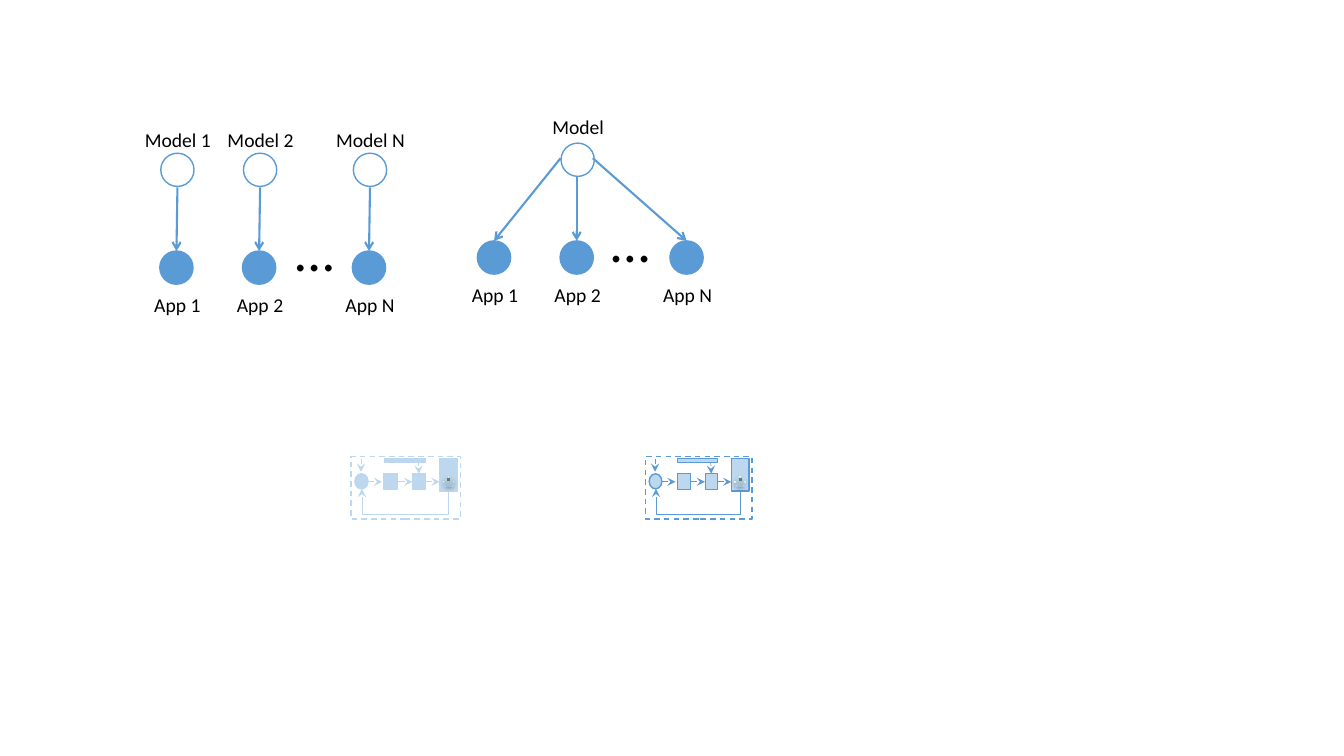
import copy
from dataclasses import dataclass

import pptx
import pptx.dml.color
import pptx.enum.dml
import pptx.enum.shapes
import pptx.enum.text
import pptx.oxml
import pptx.oxml.ns
import pptx.util

Inches = pptx.util.Inches
SHAPE = pptx.enum.shapes.MSO_SHAPE
CONNECTOR = pptx.enum.shapes.MSO_CONNECTOR


@dataclass(frozen=True)
class Theme:
    blue: str = "5B9BD5"
    pale: str = "BDD7EE"
    white: str = "FFFFFF"
    black: str = "000000"
    bulb: tuple = ((0, "87ABAE"), (0.8, "AFDEE2"), (1, "AFE0E4"))
    font: str = "Calibri"
    label_size: int = 14
    dots_size: int = 40


THEME = Theme()

# Content: app columns, then the two ways of serving them
APPS = [("App 1", 0), ("App 2", 0.82), ("App N", 1.91)]  # name, centre offset
SERVINGS = [
    {  # one model for each app
        "origin": (1.75, 2.49),
        "models": [("Model 1", 0, 1.22), ("Model 2", 0.82, 1.22), ("Model N", 1.91, 1.22)],
        "model_top": 1.52,
        "arrow_starts": [(0.01, 1.86), (0.83, 1.86), (1.92, 1.86)],
        "dots": (2.83, 2.09, 1.17),
    },
    {  # one model shared by all apps
        "origin": (4.9, 2.39),
        "models": [("Model", 0.82, 1.09)],
        "model_top": 1.42,
        "arrow_starts": [(0.66, 1.57), (0.82, 1.76), (0.98, 1.57)],
        "dots": (5.96, 2, 0.58),
    },
]
CIRCLE = 0.33

# Content: the two device pipelines; left edge, horizontal scale, line, first box line width
DEVICES = [(3.48, 1, THEME.pale, 1), (6.4, 0.97, THEME.blue, 0.5)]
DEVICE_TOP = 4.53
# Rays of the lamp: x and y from the device corner, rotation
RAYS = [
    (0.96, 0.19, 270), (1.01, 0.24, 0), (0.91, 0.24, 0), (0.93, 0.21, 37.7),
    (1, 0.21, 317.8), (0.93, 0.28, 319.8), (1, 0.28, 42),
]


def rgb(color):
    return pptx.dml.color.RGBColor.from_string(color)


def add_effect(item, alpha=None, distance=1.6):
    """Replace theme effects by none, or by a soft shadow straight below."""
    properties = item._element.spPr
    for old in properties.findall(pptx.oxml.ns.qn("a:effectLst")):
        properties.remove(old)
    shadow = ""
    if alpha:
        shadow = (
            f'<a:outerShdw blurRad="{pptx.util.Pt(3.1)}" dist="{pptx.util.Pt(distance)}" '
            f'dir="5400000" rotWithShape="0"><a:srgbClr val="{THEME.black}">'
            f'<a:alpha val="{alpha * 1000}"/></a:srgbClr></a:outerShdw>'
        )
    properties.append(pptx.oxml.parse_xml(
        f'<a:effectLst {pptx.oxml.ns.nsdecls("a")}>{shadow}</a:effectLst>'))


def add_box(group, kind, left, top, width, height, fill=None, line=None, weight=1,
            rotation=0, dashed=False, shadow=None, distance=1.6):
    shape = group.shapes.add_shape(
        kind, Inches(left), Inches(top), Inches(width), Inches(height))
    shape.rotation = rotation
    if fill:
        shape.fill.solid()
        shape.fill.fore_color.rgb = rgb(fill)
    else:
        shape.fill.background()
    if line:
        shape.line.color.rgb = rgb(line)
        shape.line.width = pptx.util.Pt(weight)
        if dashed:
            shape.line.dash_style = pptx.enum.dml.MSO_LINE.DASH
    else:
        shape.line.fill.background()
    shape.shadow.inherit = False
    if shadow:
        add_effect(shape, shadow, distance)
    return shape


def add_line(group, start, end, color, weight, head=None, kind=CONNECTOR.STRAIGHT, shadow=None):
    connector = group.shapes.add_connector(kind, *(Inches(value) for value in (*start, *end)))
    connector.line.color.rgb = rgb(color)
    connector.line.width = pptx.util.Pt(weight)
    if head:
        connector.line._get_or_add_ln().append(pptx.oxml.parse_xml(
            f'<a:tailEnd {pptx.oxml.ns.nsdecls("a")} type="{head}"/>'))
    add_effect(connector, shadow)
    return connector


def add_text(group, text, left, top, width, height, size=THEME.label_size, align="CENTER"):
    box = group.shapes.add_textbox(Inches(left), Inches(top), Inches(width), Inches(height))
    box.text_frame.word_wrap = True
    box.text_frame.auto_size = pptx.enum.text.MSO_AUTO_SIZE.SHAPE_TO_FIT_TEXT
    paragraph = box.text_frame.paragraphs[0]
    paragraph.alignment = pptx.enum.text.PP_ALIGN[align]
    run = paragraph.add_run()
    run.text = text
    run.font.name = THEME.font
    run.font.size = pptx.util.Pt(size)
    run.font.color.rgb = rgb(THEME.black)


def add_serving(slide, serving):
    group = slide.shapes.add_group_shape()
    left, app_top = serving["origin"]
    # Models
    for name, offset, label_top in serving["models"]:
        center = left + offset + 0.01
        add_box(group, SHAPE.OVAL, center - CIRCLE / 2, serving["model_top"], CIRCLE, CIRCLE,
                THEME.white, THEME.blue)
        add_text(group, name, center - 0.58, label_top, 1.17, 0.34)
    # Apps and the arrows that reach them
    for (name, offset), (start, start_top) in zip(APPS, serving["arrow_starts"]):
        center = left + offset
        add_line(group, (left + start, start_top), (center, app_top), THEME.blue, 1.5, "arrow")
        add_text(group, name, center - 0.49, app_top + 0.37, 1, 0.34)
        add_box(group, SHAPE.OVAL, center - CIRCLE / 2, app_top, CIRCLE, CIRCLE,
                THEME.blue, THEME.blue)
    dots_left, dots_top, dots_width = serving["dots"]
    add_text(group, "…", dots_left, dots_top, dots_width, 0.77,
             size=THEME.dots_size, align="LEFT")


def add_device(slide, left, scale, color, first_weight):
    group = slide.shapes.add_group_shape()

    def point(x, y):
        return left + x * scale, DEVICE_TOP + y

    def part(kind, x, y, width, height, fill=THEME.pale, line=color, weight=1, **style):
        return add_box(group, kind, *point(x, y), width * scale, height,
                       fill, line, weight, **style)

    def arrow(start, end):
        return add_line(group, point(*start), point(*end), color, 0.5, "stealth")

    # Stages and the feedback path from the screen to the input
    first = part(SHAPE.RECTANGLE, 0.33, 0.17, 0.13, 0.16, weight=first_weight)
    add_feedback(group, point(0.97, 0.35), point(0.11, 0.32), DEVICE_TOP + 0.57, color)
    part(SHAPE.OVAL, 0.04, 0.17, 0.13, 0.15)
    second = part(SHAPE.RECTANGLE, 0.61, 0.17, 0.13, 0.16, weight=0.5)
    part(SHAPE.RECTANGLE, 0.88, 0.02, 0.18, 0.32)

    # Lamp on the screen
    lamp = part(SHAPE.OVAL, 0.93, 0.21, 0.08, 0.08, line=None, shadow=35, distance=1.8)
    lamp.fill.gradient()
    lamp.fill.gradient_angle = 90
    stops = lamp._element.spPr.find(".//" + pptx.oxml.ns.qn("a:gsLst"))
    stops.append(copy.deepcopy(stops[-1]))
    for stop, (position, stop_color) in zip(lamp.fill.gradient_stops, THEME.bulb):
        stop.position = position
        stop.color.rgb = rgb(stop_color)
    add_line(group, point(0.97, 0.21), point(0.97, 0.24), THEME.black, 2, shadow=38)
    for x, y, rotation in RAYS:
        part(SHAPE.MATH_MINUS, x, y, 0.01, 0.02, THEME.black, THEME.white, 0.25,
             rotation=rotation, shadow=38)

    # Bar on top, arrows between the stages
    part(SHAPE.RECTANGLE, 0.33, 0.02, 0.41, 0.04, weight=0.5)
    arrow((0.67, 0.06), (0.67, 0.17)).end_connect(second, 0)
    arrow((0.1, 0.02), (0.1, 0.15))
    arrow((0.17, 0.25), (0.31, 0.25))
    between = arrow((0.47, 0.25), (0.61, 0.25))
    between.begin_connect(first, 3)
    between.end_connect(second, 1)
    arrow((0.75, 0.25), (0.88, 0.25)).begin_connect(second, 3)

    # Dashed frame and the veil over the lamp
    part(SHAPE.RECTANGLE, 0, 0, 1.09, 0.62, fill=None, dashed=True)
    veil = part(SHAPE.RECTANGLE, 0.92, 0.2, 0.11, 0.1, line=None)
    veil_color = veil._element.spPr.find(".//" + pptx.oxml.ns.qn("a:srgbClr"))
    veil_color.append(pptx.oxml.parse_xml(
        f'<a:alpha {pptx.oxml.ns.nsdecls("a")} val="55000"/>'))


def add_feedback(group, start, end, bottom, color):
    """Elbow that leaves downwards and comes back up: a quarter turn of a flipped one."""
    rise, run = start[1] - end[1], start[0] - end[0]
    center_x, center_y = (start[0] + end[0]) / 2, (start[1] + end[1]) / 2
    connector = add_line(
        group, (center_x + rise / 2, center_y - run / 2), (center_x - rise / 2, center_y + run / 2),
        color, 0.5, "stealth", CONNECTOR.ELBOW)
    properties = connector._element.spPr
    properties.find(pptx.oxml.ns.qn("a:xfrm")).set("rot", "5400000")
    bend = round(-(bottom - start[1]) / rise * 100000)
    properties.find(".//" + pptx.oxml.ns.qn("a:avLst")).append(pptx.oxml.parse_xml(
        f'<a:gd {pptx.oxml.ns.nsdecls("a")} name="adj1" fmla="val {bend}"/>'))


def main():
    presentation = pptx.Presentation()
    presentation.slide_width = Inches(13.33)
    presentation.slide_height = Inches(7.5)
    slide = presentation.slides.add_slide(presentation.slide_layouts[6])
    for device in DEVICES:
        add_device(slide, *device)
    for serving in SERVINGS:
        add_serving(slide, serving)
    presentation.save("out.pptx")


if __name__ == "__main__":
    main()
